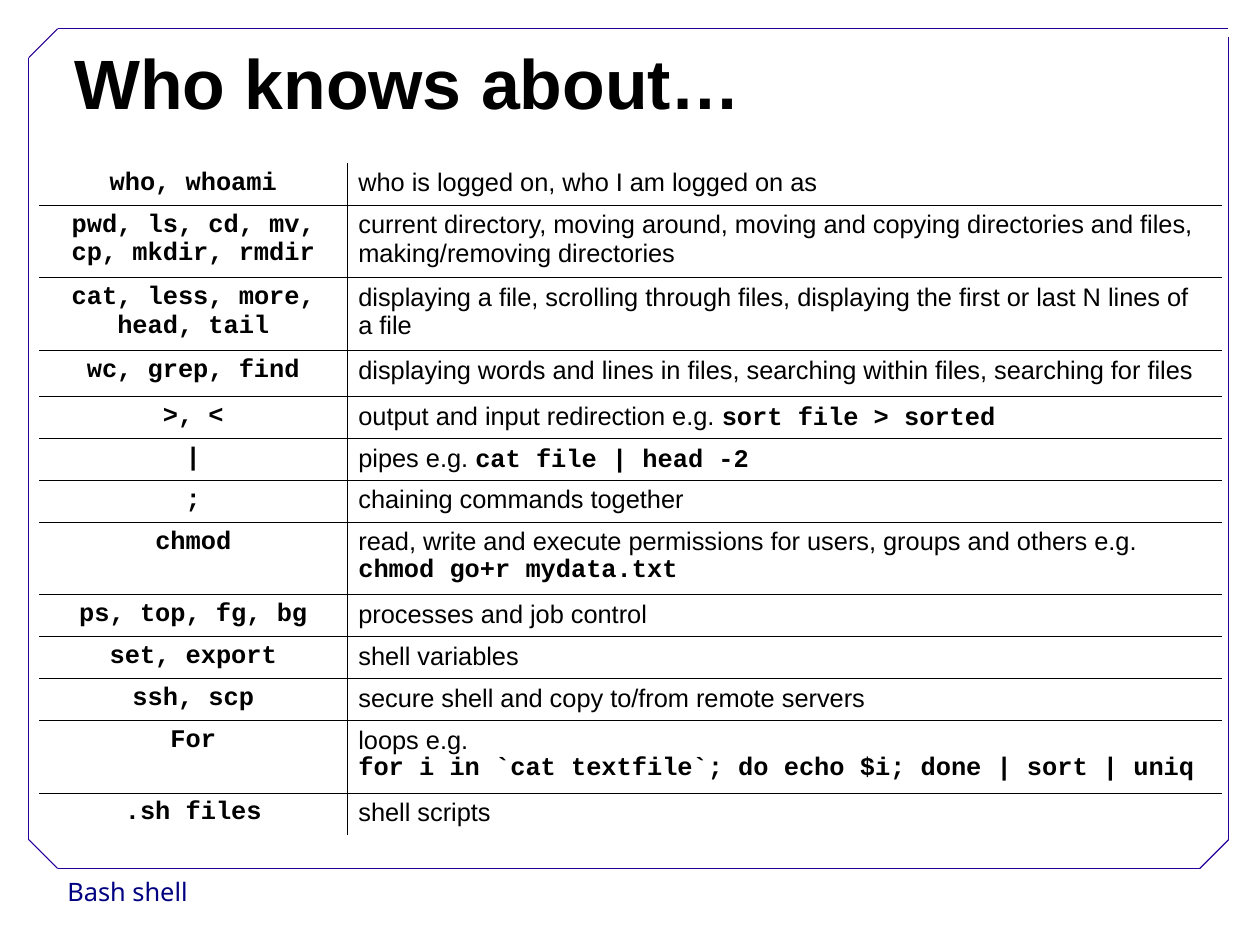
"""Build the slide of shell commands, each with a short explanation."""
from dataclasses import dataclass

import pptx
import pptx.dml.color
import pptx.enum.shapes
import pptx.enum.text
import pptx.oxml
import pptx.oxml.ns
import pptx.util

Cm, Pt = pptx.util.Cm, pptx.util.Pt
ALIGN = pptx.enum.text.PP_ALIGN


@dataclass(frozen=True)
class Theme:
    frame: str = "280099"
    footer: str = "000080"
    text: str = "000000"
    paper: str = "FFFFFF"
    sans: str = "Arial"
    mono: str = "Courier New"
    footer_font: str = "Noto Sans"
    title_size: int = 44
    body_size: int = 16
    frame_width: float = 0.75
    border_width: float = 0.45


THEME = Theme()

LEFT, TOP, RIGHT, BOTTOM, CUT = 0.64, 0.64, 27.3, 19.3, 0.64
FRAME = [
    ((LEFT + CUT, BOTTOM), (RIGHT - CUT, BOTTOM)),
    ((LEFT, BOTTOM - CUT), (LEFT, TOP + CUT)),
    ((LEFT + CUT, TOP), (RIGHT, TOP)),
    ((RIGHT, BOTTOM - CUT), (RIGHT, 0.82)),
    ((LEFT, TOP + CUT), (LEFT + CUT, TOP)),
    ((RIGHT - CUT, BOTTOM), (RIGHT, BOTTOM - CUT)),
    ((LEFT, BOTTOM - CUT), (LEFT + CUT, BOTTOM)),
]

COLUMNS = (6.83, 19.43)
ONE_LINE, TWO_LINES = 0.93, 1.61
ROWS = [
    (ONE_LINE, "who, whoami", [("who is logged on, who I am logged on as", "")]),
    (TWO_LINES, "pwd, ls, cd, mv, cp, mkdir, rmdir",
     [("current directory, moving around, moving and copying directories and files, "
       "making/removing directories", "")]),
    (1.62, "cat, less, more, head, tail",
     [("displaying a file, scrolling through files, displaying the first or last "
       "N lines of a file", "")]),
    (1.02, "wc, grep, find",
     [("displaying words and lines in files, searching within files, "
       "searching for files", "")]),
    (ONE_LINE, ">, <", [("output and input redirection e.g. ", "sort file > sorted")]),
    (ONE_LINE, "|", [("pipes e.g. ", "cat file | head -2")]),
    (ONE_LINE, ";", [("chaining commands together", "")]),
    (TWO_LINES, "chmod",
     [("read, write and execute permissions for users, groups and others e.g. ",
       "chmod go+r mydata.txt")]),
    (ONE_LINE, "ps, top, fg, bg", [("processes and job control", "")]),
    (ONE_LINE, "set, export", [("shell variables", "")]),
    (ONE_LINE, "ssh, scp", [("secure shell and copy to/from remote servers", "")]),
    (TWO_LINES, "For",
     [("loops e.g.", ""),
      ("", "for i in `cat textfile`; do echo $i; done | sort | uniq")]),
    (ONE_LINE, ".sh files", [("shell scripts", "")]),
]


def rgb(value):
    """Return the colour object for a hex value."""
    return pptx.dml.color.RGBColor.from_string(value)


def set_font(font, name, size, color, bold=False):
    """Set name, size, colour and weight of a font."""
    font.name, font.size, font.bold = name, Pt(size), bold
    font.color.rgb = rgb(color)


def add_label(slide, box, text, spacing, *style):
    """Add a text box with one vertically centred line."""
    tf = slide.shapes.add_textbox(*map(Cm, box)).text_frame
    tf.word_wrap = True
    tf.vertical_anchor = pptx.enum.text.MSO_ANCHOR.MIDDLE
    p = tf.paragraphs[0]
    p.text = text
    p.line_spacing = spacing
    set_font(p.font, *style)


def add_line(slide, start, end):
    """Add one straight line of the frame."""
    line = slide.shapes.add_connector(
        pptx.enum.shapes.MSO_CONNECTOR.STRAIGHT, *map(Cm, start + end))
    line.line.color.rgb = rgb(THEME.frame)
    line.line.width = Pt(THEME.frame_width)
    pptx.oxml.ns.qn("a:effectLst")
    line._element.spPr.append(pptx.oxml.parse_xml(
        f'<a:effectLst {pptx.oxml.ns.nsdecls("a")}/>'))


def set_borders(cell, colors):
    """Draw the left, right, top and bottom borders of a cell."""
    tc_pr = cell._tc.get_or_add_tcPr()
    for i, (side, color) in enumerate(zip("LRTB", colors)):
        tc_pr.insert(i, pptx.oxml.parse_xml(
            f'<a:ln{side} {pptx.oxml.ns.nsdecls("a")} w="{Pt(THEME.border_width)}">'
            f'<a:solidFill><a:srgbClr val="{color}"/></a:solidFill></a:ln{side}>'))


def fill_commands(cell, commands):
    """Write the command names, centred."""
    p = cell.text_frame.paragraphs[0]
    p.text = commands
    p.alignment = ALIGN.CENTER
    set_font(p.font, THEME.mono, THEME.body_size, THEME.text, True)


def fill_meaning(cell, paragraphs):
    """Write the explanation, with any code in the monospaced font."""
    tf = cell.text_frame
    for i, (plain, code) in enumerate(paragraphs):
        p = tf.add_paragraph() if i else tf.paragraphs[0]
        p.alignment = ALIGN.LEFT
        for text, name, bold in ((plain, THEME.sans, False), (code, THEME.mono, True)):
            if text:
                r = p.add_run()
                r.text = text
                font = r.font if plain and code else p.font
                set_font(font, name, THEME.body_size, THEME.text, bold)


def add_commands_table(slide):
    """Add the table, ruled on the inside only."""
    heights = [row[0] for row in ROWS]
    table = slide.shapes.add_table(
        len(ROWS), len(COLUMNS), Cm(0.88), Cm(3.63),
        Cm(sum(COLUMNS)), Cm(sum(heights))).table
    table.first_row = table.horz_banding = False
    for column, width in zip(table.columns, COLUMNS):
        column.width = Cm(width)
    for i, (height, commands, meaning) in enumerate(ROWS):
        table.rows[i].height = Cm(height)
        fill_commands(table.cell(i, 0), commands)
        fill_meaning(table.cell(i, 1), meaning)
        for j in range(len(COLUMNS)):
            cell = table.cell(i, j)
            cell.fill.background()
            outer = (j == 0, j == len(COLUMNS) - 1, i == 0, i == len(ROWS) - 1)
            set_borders(cell, [THEME.paper if edge else THEME.text for edge in outer])


def main():
    """Build and save the slide."""
    prs = pptx.Presentation()
    prs.slide_width, prs.slide_height = Cm(28), Cm(21)
    slide = prs.slides.add_slide(prs.slide_layouts[6])
    add_label(slide, (1.25, 19.3, 5.46, 1.02), "Bash shell", 1.02,
              THEME.footer_font, THEME.body_size, THEME.footer)
    for start, end in FRAME:
        add_line(slide, start, end)
    add_label(slide, (1.4, 0.84, 25.2, 2.13), "Who knows about…", 0.93,
              THEME.sans, THEME.title_size, THEME.text, True)
    add_commands_table(slide)
    prs.save("out.pptx")


if __name__ == "__main__":
    main()
